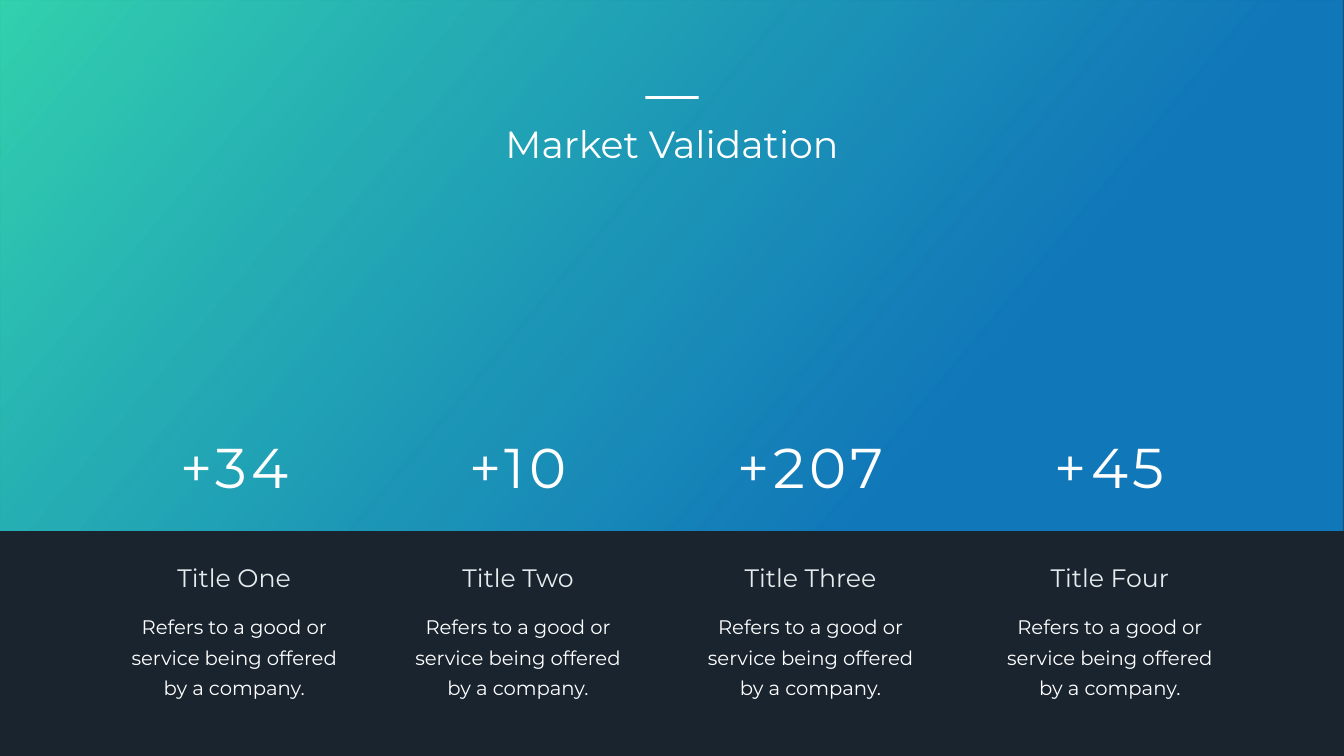
import dataclasses

import lxml.etree
import pptx
import pptx.dml.color
import pptx.enum.shapes
import pptx.enum.text
import pptx.oxml.ns
import pptx.slide
import pptx.util

Cm = pptx.util.Cm
Pt = pptx.util.Pt

PAGE_WIDTH = 67.72
PAGE_HEIGHT = 38.1
BAND_HEIGHT = 26.72
PAGE_CENTER = PAGE_WIDTH / 2
FONT = "Montserrat"
WHITE = "FFFFFF"
DESCRIPTION = "Refers to a good or service being offered by a company."


@dataclasses.dataclass(frozen=True)
class TextStyle:
    top: float
    width: float
    height: float
    size: float
    color: str = WHITE
    margin_x: float = 0.25
    margin_y: float = 0.13
    wrap: bool = True
    letter_spacing: float = 0
    line_spacing: float = 0


@dataclasses.dataclass(frozen=True)
class Metric:
    center: float
    value: str
    title: str


HEADING = TextStyle(5.94, 17.63, 2.57, 54, wrap=False)
VALUE = TextStyle(21.67, 8.64, 3.68, 80, letter_spacing=6)
TITLE = TextStyle(28.19, 12.01, 1.8, 36, color="E6ECED")
BODY = TextStyle(30.38, 12.01, 5.08, 28, margin_x=0.61, margin_y=0.3, line_spacing=43)

METRICS = [
    Metric(11.8, "+34", "Title One"),
    Metric(26.1, "+10", "Title Two"),
    Metric(40.84, "+207", "Title Three"),
    Metric(55.92, "+45", "Title Four"),
]


def rgb(value: str) -> pptx.dml.color.RGBColor:
    return pptx.dml.color.RGBColor.from_string(value)


def add_rectangle(page: pptx.slide.Slide, left: float, top: float, width: float, height: float):
    rectangle = page.shapes.add_shape(
        pptx.enum.shapes.MSO_SHAPE.RECTANGLE, Cm(left), Cm(top), Cm(width), Cm(height)
    )
    rectangle.shadow.inherit = False
    rectangle.line.fill.background()
    return rectangle


def add_gradient_band(page: pptx.slide.Slide) -> None:
    band = add_rectangle(page, 0, 0, PAGE_WIDTH, BAND_HEIGHT)
    band.fill.gradient()
    band.fill.gradient_angle = 320
    start, end = band.fill.gradient_stops
    start.color.rgb, start.position = rgb("33D1AD"), 0
    end.color.rgb, end.position = rgb("0F8BDA"), 0.73
    color_tag = pptx.oxml.ns.qn("a:srgbClr")
    end_color = list(band._element.spPr.iter(color_tag))[-1]
    lxml.etree.SubElement(end_color, pptx.oxml.ns.qn("a:alpha"), val="80000")


def add_text(page: pptx.slide.Slide, text: str, center: float, style: TextStyle) -> None:
    box = page.shapes.add_textbox(
        Cm(center - style.width / 2), Cm(style.top), Cm(style.width), Cm(style.height)
    )
    frame = box.text_frame
    frame.word_wrap = style.wrap
    frame.auto_size = pptx.enum.text.MSO_AUTO_SIZE.SHAPE_TO_FIT_TEXT
    frame.margin_left = frame.margin_right = Cm(style.margin_x)
    frame.margin_top = frame.margin_bottom = Cm(style.margin_y)
    frame.text = text
    para = frame.paragraphs[0]
    para.alignment = pptx.enum.text.PP_ALIGN.CENTER
    if style.line_spacing:
        para.line_spacing = Pt(style.line_spacing)
    span = para.runs[0]
    span.font.name = FONT
    span.font.size = Pt(style.size)
    span.font.color.rgb = rgb(style.color)
    if style.letter_spacing:
        span._r.get_or_add_rPr().set("spc", str(round(style.letter_spacing * 100)))


def add_heading(page: pptx.slide.Slide) -> None:
    add_text(page, "Market Validation", PAGE_CENTER, HEADING)
    rule_width = 2.69
    rule = add_rectangle(page, PAGE_CENTER - rule_width / 2, 4.85, rule_width, 0.13)
    rule.fill.solid()
    rule.fill.fore_color.rgb = rgb(WHITE)


def add_metric(page: pptx.slide.Slide, metric: Metric) -> None:
    add_text(page, metric.value, metric.center, VALUE)
    add_text(page, metric.title, metric.center, TITLE)
    add_text(page, DESCRIPTION, metric.center, BODY)


def main() -> None:
    deck = pptx.Presentation()
    deck.slide_width = Cm(PAGE_WIDTH)
    deck.slide_height = Cm(PAGE_HEIGHT)
    page = deck.slides.add_slide(deck.slide_layouts[6])
    page.background.fill.solid()
    page.background.fill.fore_color.rgb = rgb("19242F")
    add_gradient_band(page)
    for metric in METRICS:
        add_metric(page, metric)
    add_heading(page)
    deck.save("out.pptx")


if __name__ == "__main__":
    main()
